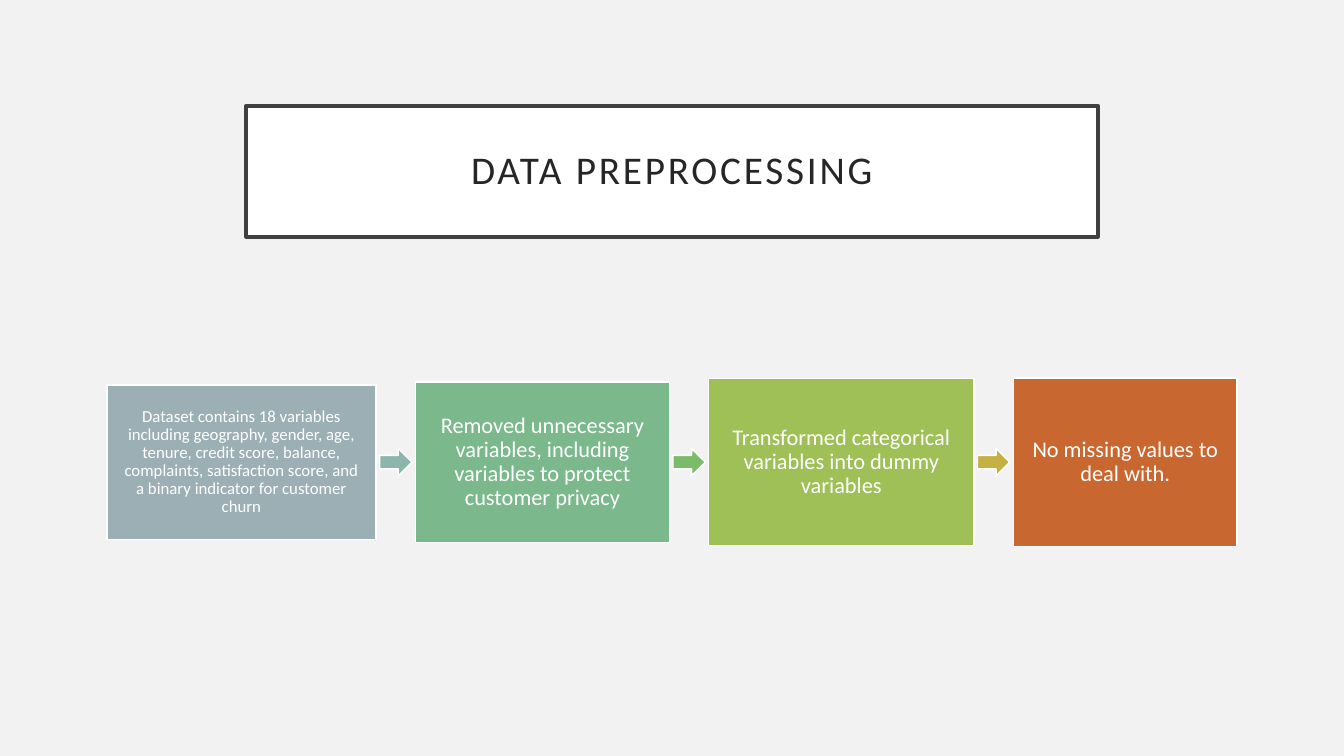
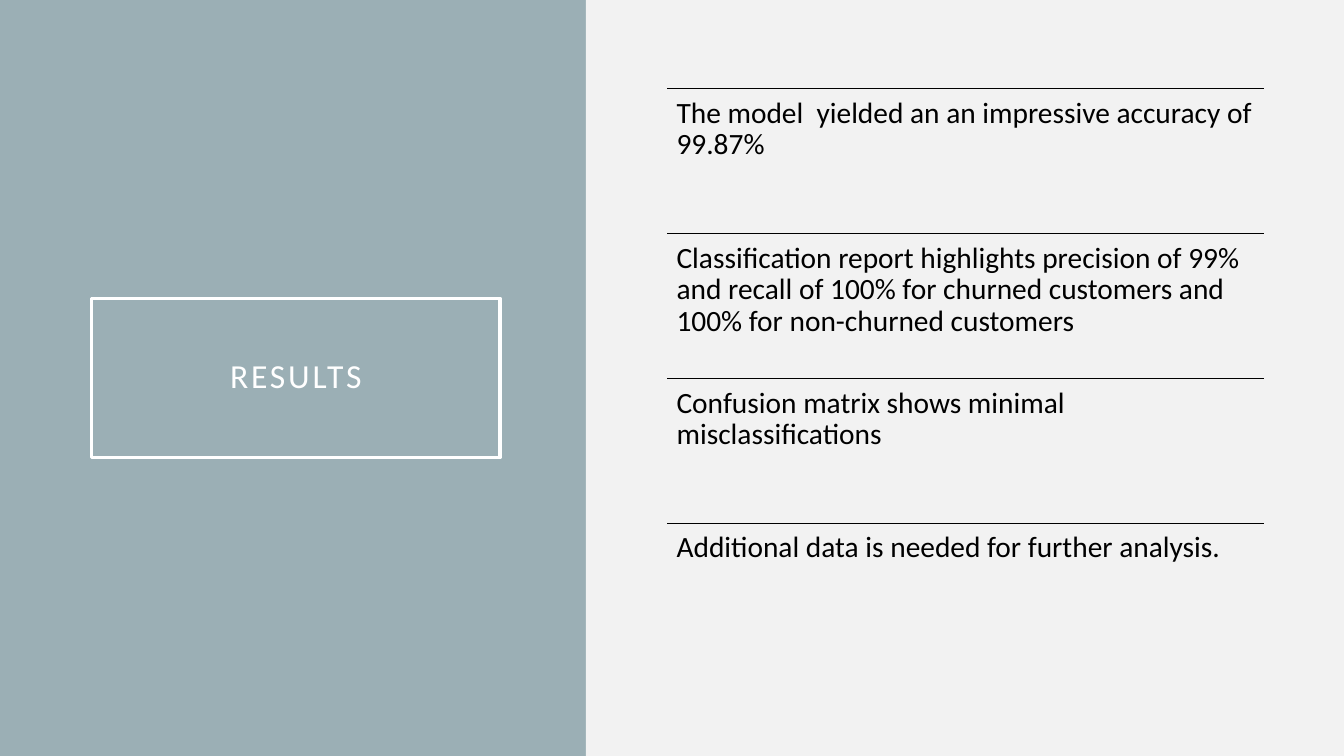
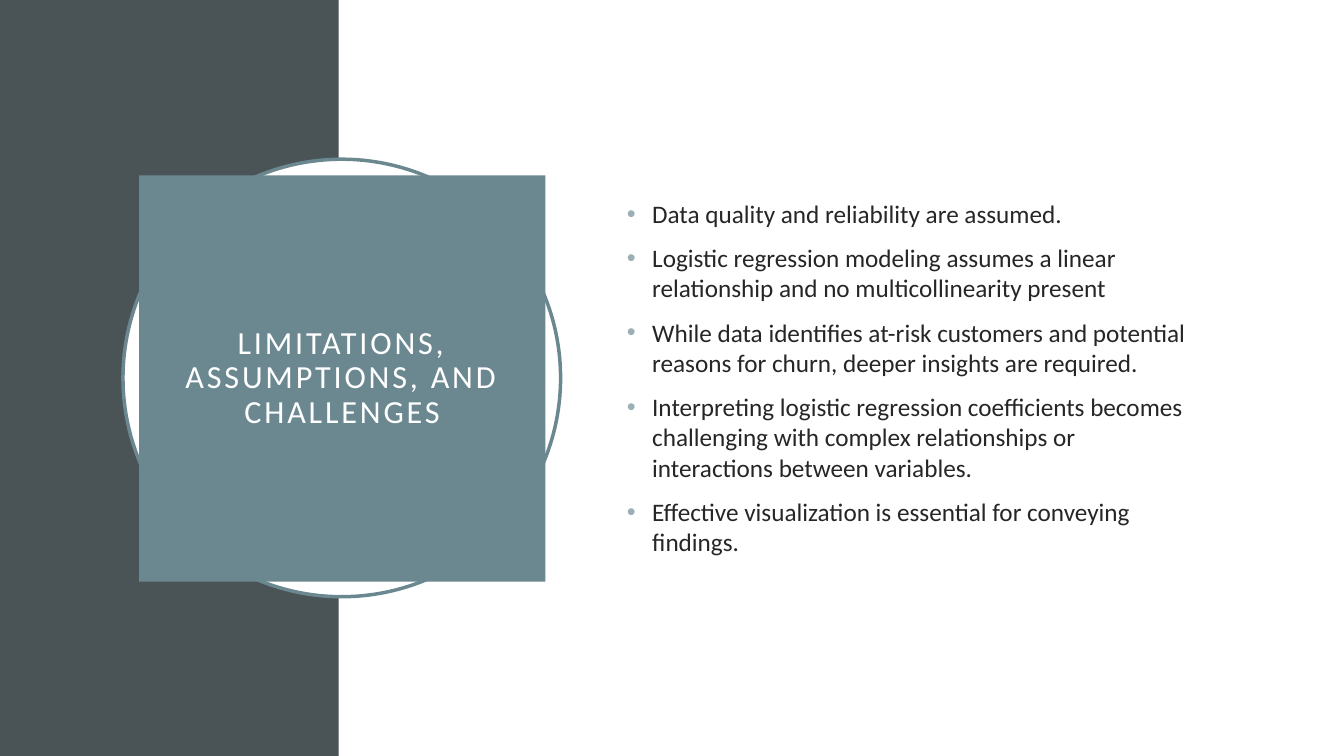
from lxml.etree import SubElement
from pptx import Presentation
from pptx.dml.color import RGBColor
from pptx.enum.shapes import MSO_CONNECTOR, MSO_SHAPE
from pptx.enum.text import MSO_ANCHOR, PP_ALIGN
from pptx.oxml.ns import qn
from pptx.util import Inches, Pt

FONT = "Calibri"
WHITE = "FFFFFF"
PALE = "F2F2F2"
INK = "262626"
BLACK = "000000"
FRAME = "404040"
MIST = "9BAFB5"
TEAL = "6B8891"
SLATE = "4A5356"
WIDTH, HEIGHT = 13.33, 7.5
TITLE_STYLE = {"inset": 0.2, "spacing": 0.9, "tracking": 200}


def add_box(slide, kind, left, top, width, height, fill=None, line=None, weight=1):
    shape = slide.shapes.add_shape(
        kind, Inches(left), Inches(top), Inches(width), Inches(height)
    )
    shape.shadow.inherit = False
    for paint, color in ((shape.fill, fill), (shape.line.fill, line)):
        if color:
            paint.solid()
            paint.fore_color.rgb = RGBColor.from_string(color)
        else:
            paint.background()
    if line:
        shape.line.width = Pt(weight)
    return shape


def write(shape, texts, size, color, inset=0.1, spacing=None, tracking=None,
          align=PP_ALIGN.CENTER, anchor=MSO_ANCHOR.MIDDLE, bullet=None):
    text_frame = shape.text_frame
    text_frame.word_wrap = True
    text_frame.vertical_anchor = anchor
    text_frame.margin_left = text_frame.margin_right = Inches(inset)
    text_frame.margin_top = text_frame.margin_bottom = Inches(min(inset, 0.2))
    text_frame.text = "\n".join(texts)
    for number, paragraph in enumerate(text_frame.paragraphs):
        paragraph.alignment = align
        if spacing:
            paragraph.line_spacing = spacing
        if bullet:
            if number:
                paragraph.space_before = Pt(10)
            properties = paragraph._p.get_or_add_pPr()
            properties.set("marL", str(Inches(0.25)))
            properties.set("indent", str(-Inches(0.25)))
            bullet_color = SubElement(properties, qn("a:buClr"))
            SubElement(bullet_color, qn("a:srgbClr")).set("val", bullet)
            SubElement(properties, qn("a:buFont")).set("typeface", "Arial")
            SubElement(properties, qn("a:buChar")).set("char", "•")
        for run in paragraph.runs:
            run.font.name = FONT
            run.font.size = Pt(size)
            run.font.color.rgb = RGBColor.from_string(color)
            if tracking:
                run._r.get_or_add_rPr().set("spc", str(tracking))


presentation = Presentation()
presentation.slide_width = Inches(WIDTH)
presentation.slide_height = Inches(HEIGHT)
slides = []
for background in (PALE, MIST, WHITE):
    slide = presentation.slides.add_slide(presentation.slide_layouts[6])
    slide.background.fill.solid()
    slide.background.fill.fore_color.rgb = RGBColor.from_string(background)
    slides.append(slide)
preprocessing, results, limitations = slides

title = add_box(preprocessing, MSO_SHAPE.RECTANGLE, 2.44, 1.05, 8.45, 1.3, WHITE, FRAME, 2.5)
write(title, ["DATA PREPROCESSING"], 28, INK, **TITLE_STYLE)

steps = [
    (2.67, 1.53, MIST, 12, "Dataset contains 18 variables including geography, gender, age, "
     "tenure, credit score, balance, complaints, satisfaction score, and a binary indicator "
     "for customer churn"),
    (2.52, 1.59, "7BB88C", 16, "Removed unnecessary variables, including variables to protect "
     "customer privacy"),
    (2.63, 1.66, "9FC057", 16, "Transformed categorical variables into dummy variables"),
    (2.22, 1.67, "C96731", 16, "No missing values to deal with."),
]
arrow_colors = ["8CB6AC", "7ABC69", "C5B043", None]
step_gap = 0.39
arrow_width, arrow_height = 0.32, 0.27
flow_middle = 4.585
left = 1.06
for (width, height, fill, size, text), arrow_color in zip(steps, arrow_colors):
    step = add_box(preprocessing, MSO_SHAPE.RECTANGLE, left, flow_middle - height / 2,
                   width, height, fill, WHITE)
    write(step, [text], size, WHITE, inset=0.17, spacing=0.9)
    left += width + step_gap
    if arrow_color:
        add_box(preprocessing, MSO_SHAPE.RIGHT_ARROW, left - (step_gap + arrow_width) / 2,
                flow_middle - arrow_height / 2, arrow_width, arrow_height, arrow_color, WHITE)

title = add_box(results, MSO_SHAPE.RECTANGLE, 0.91, 2.96, 4.05, 1.58, None, WHITE, 2.5)
write(title, ["RESULTS"], 24, WHITE, **TITLE_STYLE)
add_box(results, MSO_SHAPE.RECTANGLE, 5.81, 0, WIDTH - 5.81, HEIGHT, PALE)

findings = [
    "The model  yielded an an impressive accuracy of 99.87%",
    "Classification report highlights precision of 99% and recall of 100% for churned "
    "customers and 100% for non-churned customers",
    "Confusion matrix shows minimal misclassifications",
    "Additional data is needed for further analysis.",
]
row_left, row_width = 6.62, 5.92
row_height = 5.75 / len(findings)
for number, finding in enumerate(findings):
    top = 0.88 + number * row_height
    rule = results.shapes.add_connector(
        MSO_CONNECTOR.STRAIGHT, Inches(row_left), Inches(top),
        Inches(row_left + row_width), Inches(top)
    )
    rule.line.color.rgb = RGBColor.from_string(BLACK)
    rule.line.width = Pt(1)
    SubElement(rule._element.spPr, qn("a:effectLst"))
    row = results.shapes.add_textbox(
        Inches(row_left), Inches(top), Inches(row_width), Inches(row_height)
    )
    write(row, [finding], 21, BLACK, inset=0.09, spacing=0.9,
          align=PP_ALIGN.LEFT, anchor=MSO_ANCHOR.TOP)

add_box(limitations, MSO_SHAPE.RECTANGLE, 0, 0, 3.36, HEIGHT, SLATE)
add_box(limitations, MSO_SHAPE.OVAL, 1.22, 1.58, 4.34, 4.34, WHITE, TEAL, 2.5)
title = add_box(limitations, MSO_SHAPE.RECTANGLE, 1.38, 1.74, 4.03, 4.03, TEAL)
write(title, ["LIMITATIONS, ASSUMPTIONS, AND CHALLENGES"], 23, WHITE, **TITLE_STYLE)

body = limitations.shapes.add_textbox(Inches(6.12), Inches(1.53), Inches(5.82), Inches(4.43))
write(body, [
    "Data quality and reliability are assumed.",
    "Logistic regression modeling assumes a linear relationship and no multicollinearity present",
    "While data identifies at-risk customers and potential reasons for churn, deeper insights "
    "are required.",
    "Interpreting logistic regression coefficients becomes challenging with complex "
    "relationships or interactions between variables.",
    "Effective visualization is essential for conveying findings.",
], 18, INK, align=PP_ALIGN.LEFT, bullet=MIST)

presentation.save("out.pptx")
